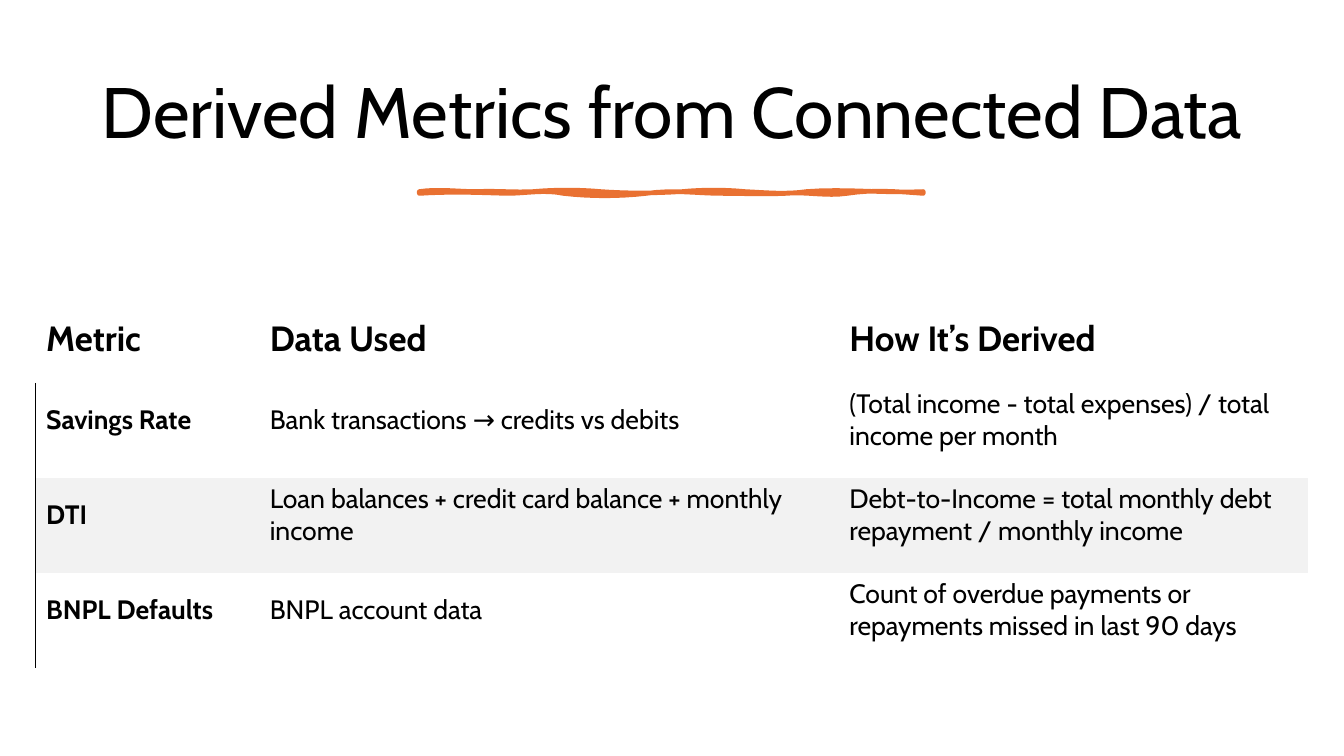
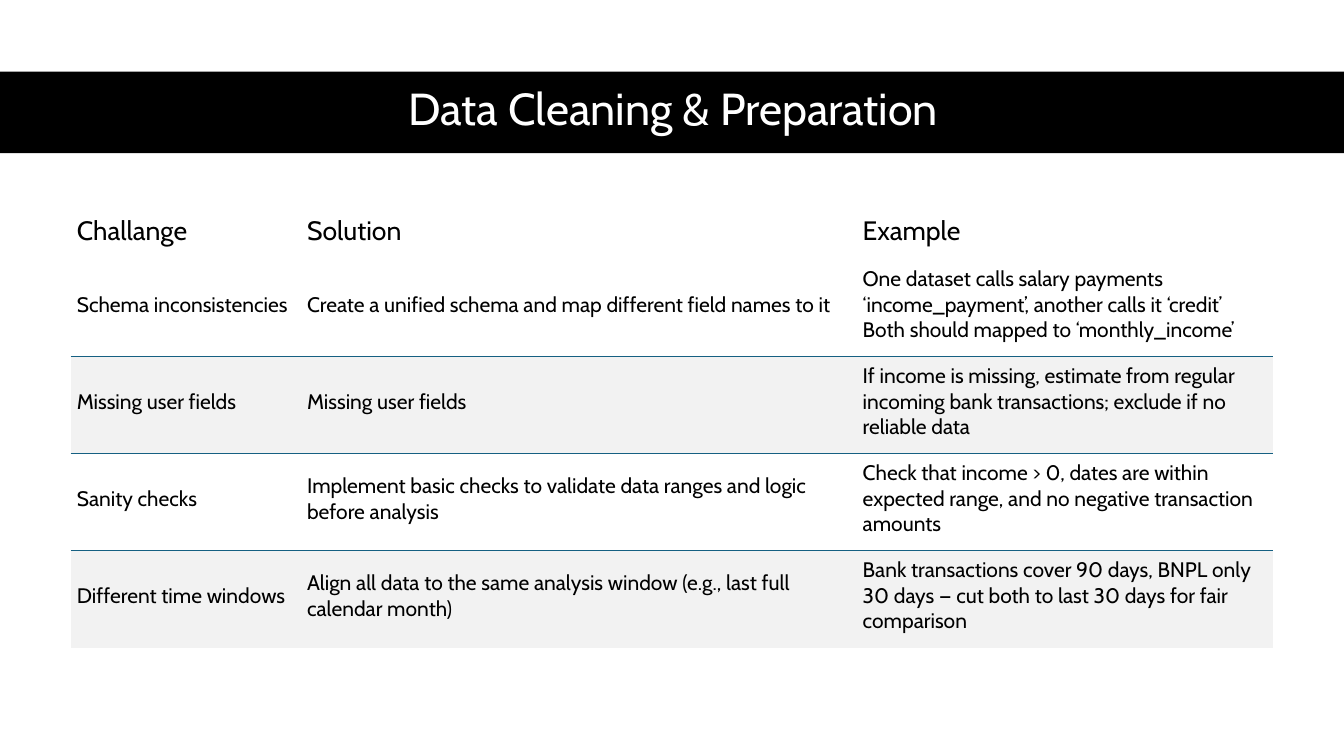
from lxml import etree
from pptx import Presentation
from pptx.dml.color import RGBColor
from pptx.enum import shapes, text
from pptx.oxml import ns
from pptx.util import Pt

BLACK = RGBColor(0, 0, 0)
WHITE = RGBColor(255, 255, 255)
GRAY = RGBColor(0xF2, 0xF2, 0xF2)
ORANGE = RGBColor(0xE9, 0x71, 0x32)
BLUE = RGBColor(0x15, 0x60, 0x82)
FONT = "Cabin"
PLAIN = "{2D5ABB26-0587-4C30-8999-92F81FD0307C}"


def add_page(title, box, size, color):
    slide = deck.slides.add_slide(deck.slide_layouts[5])
    head = slide.shapes.title
    head.left, head.top, head.width, head.height = [Pt(v) for v in box]
    frame = head.text_frame
    frame.text = title
    frame.auto_size = text.MSO_AUTO_SIZE.NONE
    frame.vertical_anchor = text.MSO_ANCHOR.MIDDLE
    para = frame.paragraphs[0]
    para.alignment = text.PP_ALIGN.CENTER
    para.line_spacing = 0.9
    para.font.name = FONT
    para.font.size = Pt(size)
    para.font.color.rgb = color
    return slide


def add_grid(slide, data, place, cols, rows, sizes, inset, bold, edge):
    side, color, width, lined = edge
    frame = slide.shapes.add_table(len(data), len(cols), Pt(place[0]), Pt(place[1]),
                                   Pt(sum(cols)), Pt(rows[0] + rows[1] * (len(data) - 1)))
    grid = frame.table
    grid.horz_banding = False
    frame.element.find(".//" + ns.qn("a:tableStyleId")).text = PLAIN
    for col, wide in zip(grid.columns, cols):
        col.width = Pt(wide)
    for r, line in enumerate(data):
        grid.rows[r].height = Pt(rows[min(r, 1)])
        for c, words in enumerate(line):
            cell = grid.cell(r, c)
            cell.text = words
            cell.margin_left, cell.margin_top, cell.margin_right, cell.margin_bottom = [
                Pt(v) for v in inset]
            cell.vertical_anchor = text.MSO_ANCHOR.MIDDLE if r else text.MSO_ANCHOR.BOTTOM
            for para in cell.text_frame.paragraphs:
                para.font.name = FONT
                para.font.size = Pt(sizes[min(r, 1)])
                para.font.bold = bold and (r == 0 or c == 0)
                para.font.color.rgb = BLACK
            if (r, c) in lined:
                props = cell._tc.get_or_add_tcPr()
                line = etree.SubElement(props, ns.qn("a:" + side), w=str(Pt(width)))
                fill = etree.SubElement(line, ns.qn("a:solidFill"))
                etree.SubElement(fill, ns.qn("a:srgbClr"), val=str(color))
            if r and r % 2 == 0:
                cell.fill.solid()
                cell.fill.fore_color.rgb = GRAY
            else:
                cell.fill.background()


deck = Presentation()
deck.slide_width = Pt(960)
deck.slide_height = Pt(540)

page = add_page("Derived Metrics from Connected Data", (50.4, 33, 859, 98.5), 51, BLACK)

top = [(340.5, -2, 0), (381, -0.7, 0.7), (429, -1.4, -1.4), (487.5, 1.4, 1.4),
       (532, -1.4, -1.4), (576, 0.7, 2.2), (659.5, -2.2, 1.4)]
low = [(605, -1.4, -2.9), (561, 2.2, -1.4), (516, 0.7, 0), (461.5, 0, -2.9),
       (402.5, 2.2, 2.2), (362, -2.9, 0), (299.5, -0.7, -1.4)]
x = 299.5
dots = []
for base, waves in ((136.8, top), (138.2, low)):
    dots.append((Pt(x), Pt(base)))
    for end, a, b in waves:
        for step in range(1, 9):
            t = step / 8
            bend = 3 * t * (1 - t) * ((1 - t) * a + t * b)
            dots.append((Pt(x + (end - x) * t), Pt(base + bend)))
        x = end
pen = page.shapes.build_freeform(*dots[0])
pen.add_line_segments(dots[1:], close=True)
brush = pen.convert_to_shape()
brush.shadow.inherit = False
brush.fill.solid()
brush.fill.fore_color.rgb = ORANGE
brush.line.color.rgb = ORANGE
brush.line.width = Pt(3.25)

facts = [
    ("Metric", "Data Used", "How It’s Derived"),
    ("Savings Rate", "Bank transactions → credits vs debits",
     "(Total income - total expenses) / total income per month"),
    ("DTI", "Loan balances + credit card balance + monthly income",
     "Debt-to-Income = total monthly debt repayment / monthly income"),
    ("BNPL Defaults", "BNPL account data",
     "Count of overdue payments or repayments missed in last 90 days"),
]
add_grid(page, facts, (25.3, 220.2), (159.8, 414, 335.3), (53.3, 67.9), (25, 19),
         (7.7, 2.2, 9.5, 16.5), True,
         ("lnL", BLACK, 0.75, [(r, 0) for r in range(1, 4)]))

page = add_page("Data Cleaning & Preparation", (40, 50.4, 882, 58.3), 32, WHITE)
band = page.shapes.add_shape(shapes.MSO_SHAPE.RECTANGLE, 0, Pt(51.1), deck.slide_width, Pt(58.3))
band.shadow.inherit = False
band.fill.solid()
band.fill.fore_color.rgb = BLACK
band.line.fill.background()
page.shapes.title.element.addprevious(band.element)

fixes = [
    ("Challange", "Solution", "Example"),
    ("Schema inconsistencies", "Create a unified schema and map different field names to it",
     "One dataset calls salary payments ‘income_payment’, another calls it ‘credit’\v"
     "Both should mapped to ‘monthly_income’"),
    ("Missing user fields", "Missing user fields",
     "If income is missing, estimate from regular incoming bank transactions; "
     "exclude if no reliable data"),
    ("Sanity checks", "Implement basic checks to validate data ranges and logic before analysis",
     "Check that income > 0, dates are within expected range, "
     "and no negative transaction amounts"),
    ("Different time windows",
     "Align all data to the same analysis window (e.g., last full calendar month)",
     "Bank transactions cover 90 days, BNPL only 30 days — "
     "cut both to last 30 days for fair comparison"),
]
add_grid(page, fixes, (50.4, 147), (164.5, 396.9, 297.6), (38.4, 69.3), (19, 15),
         (4.5, 4.5, 4.5, 9), False,
         ("lnT", BLUE, 1, [(r, c) for r in (2, 4) for c in range(3)]))

deck.save("out.pptx")
